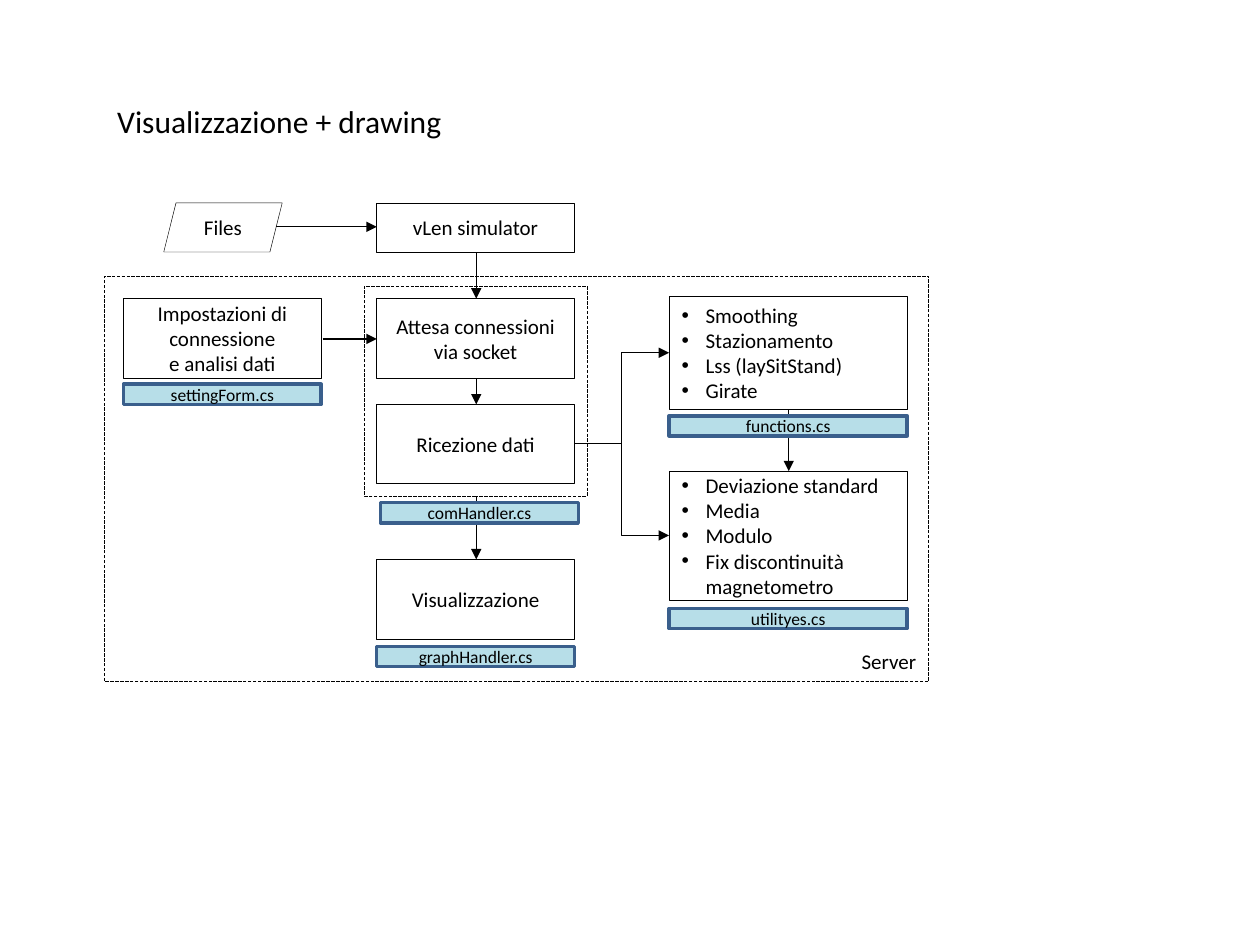
from dataclasses import dataclass

from lxml import etree
from pptx import Presentation
from pptx.dml.color import RGBColor
from pptx.enum import dml, shapes, text
from pptx.oxml import ns
from pptx.util import Inches, Pt

BLACK = "000000"
LABEL_FILL = "B7DEE8"
LABEL_EDGE = "3A5F8C"
RECT = shapes.MSO_SHAPE.RECTANGLE
STRAIGHT = shapes.MSO_CONNECTOR.STRAIGHT
ELBOW = shapes.MSO_CONNECTOR.ELBOW
CENTER = text.PP_ALIGN.CENTER
LEFT = text.PP_ALIGN.LEFT


@dataclass
class Area:
    left: float
    top: float
    width: float
    height: float


@dataclass
class Step:
    words: str
    area: Area
    outline: int = RECT


@dataclass
class FileLabel:
    words: str
    left: float
    top: float
    width: float = 1.57


@dataclass
class Functions:
    items: list[str]
    area: Area


@dataclass
class Arrow:
    start: tuple[float, float]
    end: tuple[float, float]
    route: int = STRAIGHT


def color(code: str) -> RGBColor:
    return RGBColor.from_string(code)


def place(target, area: Area) -> None:
    target.left, target.top = Inches(area.left), Inches(area.top)
    target.width, target.height = Inches(area.width), Inches(area.height)


def write(target, words: str, size: int, align=CENTER, anchor=text.MSO_ANCHOR.MIDDLE) -> None:
    frame = target.text_frame
    frame.text = words
    frame.word_wrap = True
    frame.auto_size = text.MSO_AUTO_SIZE.NONE
    frame.vertical_anchor = anchor
    for paragraph in frame.paragraphs:
        paragraph.alignment = align
        paragraph.space_before = Pt(0)
        for run in paragraph.runs:
            run.font.size = Pt(size)
            run.font.name = "Calibri"
            run.font.color.rgb = color(BLACK)


def edge(target, code: str = BLACK, width: float = 0.25) -> None:
    target.line.color.rgb = color(code)
    target.line.width = Pt(width)


def add_box(slide, area: Area, outline: int = RECT):
    box = slide.shapes.add_shape(outline, 0, 0, 0, 0)
    place(box, area)
    box.shadow.inherit = False
    box.fill.background()
    edge(box)
    return box


def add_step(slide, step: Step) -> None:
    write(add_box(slide, step.area, step.outline), step.words, 12)


def add_frame(slide, area: Area) -> None:
    add_box(slide, area).line.dash_style = dml.MSO_LINE.LONG_DASH


def add_label(slide, label: FileLabel) -> None:
    bar = add_box(slide, Area(label.left, label.top, label.width, 0.16))
    bar.fill.solid()
    bar.fill.fore_color.rgb = color(LABEL_FILL)
    edge(bar, LABEL_EDGE, 2)
    write(bar, label.words, 10)


def fill_list(body, functions: Functions) -> None:
    place(body, functions.area)
    edge(body)
    write(body, "\n".join(functions.items), 12, LEFT)
    for paragraph in body.text_frame.paragraphs:
        properties = paragraph._p.get_or_add_pPr()
        properties.set("marL", str(Inches(0.19)))
        properties.set("indent", str(-Inches(0.19)))
        etree.SubElement(properties, ns.qn("a:buFont"), typeface="Arial")
        etree.SubElement(properties, ns.qn("a:buChar"), char="•")


def add_arrow(slide, arrow: Arrow) -> None:
    points = [Inches(value) for value in (*arrow.start, *arrow.end)]
    connector = slide.shapes.add_connector(arrow.route, *points)
    edge(connector, width=0.75)
    etree.SubElement(connector.line._get_or_add_ln(), ns.qn("a:tailEnd"), type="triangle")
    etree.SubElement(connector._element.spPr, ns.qn("a:effectLst"))


SETTINGS_X, FLOW_X, FUNCTIONS_X = 0.98, 2.99, 5.31
STEP_W, STEP_H, FUNCTIONS_W = 1.57, 0.63, 1.89
FLOW_MID = 3.78
FUNCTIONS_MID = 6.26
RECEIVED = (4.56, 3.52)

STEPS = [
    Step("Files", Area(1.3, 1.61, 0.94, 0.39), shapes.MSO_SHAPE.PARALLELOGRAM),
    Step("vLen simulator", Area(FLOW_X, 1.61, STEP_W, 0.39)),
    Step("Impostazioni di connessione\ne analisi dati", Area(SETTINGS_X, 2.37, STEP_W, STEP_H)),
    Step("Attesa connessioni via socket", Area(FLOW_X, 2.37, STEP_W, STEP_H)),
    Step("Ricezione dati", Area(FLOW_X, 3.21, STEP_W, STEP_H)),
    Step("Visualizzazione", Area(FLOW_X, 4.44, STEP_W, STEP_H)),
]
ARROWS = [
    Arrow((2.19, 1.8), (FLOW_X, 1.8)),
    Arrow((FLOW_MID, 2), (FLOW_MID, 2.37)),
    Arrow((2.56, 2.69), (FLOW_X, 2.69)),
    Arrow((FLOW_MID, 3), (FLOW_MID, 3.21)),
    Arrow((FLOW_MID, 3.94), (FLOW_MID, 4.44)),
    Arrow((FUNCTIONS_MID, 3.25), (FUNCTIONS_MID, 3.74)),
    Arrow(RECEIVED, (FUNCTIONS_X, 2.8), ELBOW),
    Arrow(RECEIVED, (FUNCTIONS_X, 4.25), ELBOW),
]
LABELS = [
    FileLabel("settingForm.cs", SETTINGS_X, 3.05),
    FileLabel("comHandler.cs", 3.02, 3.99),
    FileLabel("graphHandler.cs", FLOW_X, 5.13),
    FileLabel("functions.cs", FUNCTIONS_X, 3.3, FUNCTIONS_W),
    FileLabel("utilityes.cs", FUNCTIONS_X, 4.83, FUNCTIONS_W),
]
LISTS = [
    Functions(["Smoothing", "Stazionamento", "Lss (laySitStand)", "Girate"],
              Area(FUNCTIONS_X, 2.35, FUNCTIONS_W, 0.9)),
    Functions(["Deviazione standard", "Media", "Modulo", "Fix discontinuità magnetometro"],
              Area(FUNCTIONS_X, 3.74, FUNCTIONS_W, 1.02)),
]
FRAMES = [Area(2.89, 2.27, 1.77, 1.67), Area(0.83, 2.19, 6.54, 3.22)]

deck = Presentation()
deck.slide_width, deck.slide_height = Inches(10), Inches(7.5)
slide = deck.slides.add_slide(deck.slide_layouts[3])
heading, *bodies = slide.placeholders
place(heading, Area(0.83, 0.76, 4.17, 0.4))
write(heading, "Visualizzazione + drawing", 18, LEFT, text.MSO_ANCHOR.TOP)
for body, functions in zip(bodies, LISTS):
    fill_list(body, functions)
for step in STEPS:
    add_step(slide, step)
for arrow in ARROWS:
    add_arrow(slide, arrow)
for label in LABELS:
    add_label(slide, label)
for area in FRAMES:
    add_frame(slide, area)
server = slide.shapes.add_textbox(0, 0, 0, 0)
place(server, Area(6.74, 5.1, 0.94, 0.3))
write(server, "Server", 12, LEFT, text.MSO_ANCHOR.TOP)
deck.save("out.pptx")
